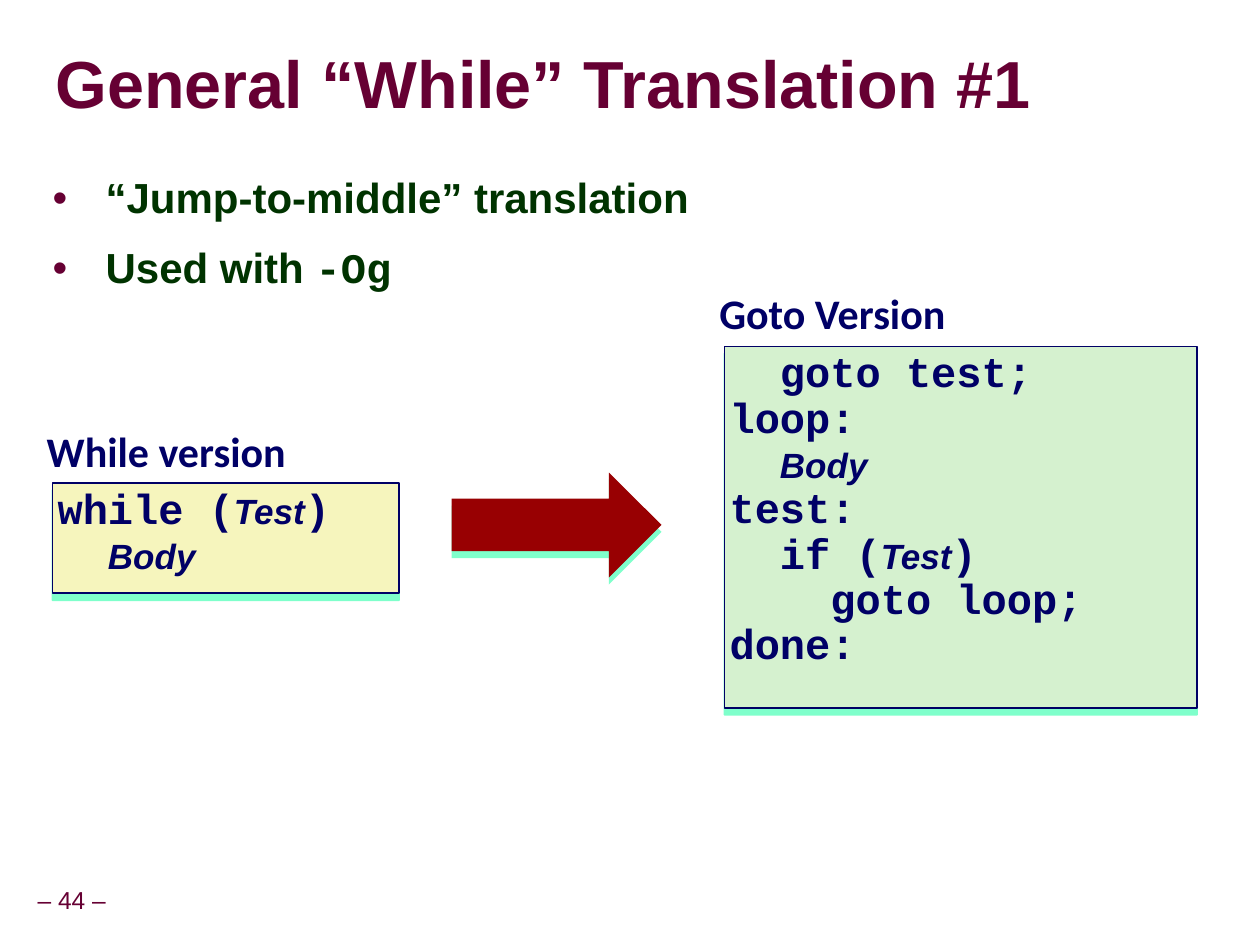
import pptx
import pptx.util
import pptx.dml.color
import pptx.enum.shapes
import pptx.enum.text
import pptx.oxml
import pptx.oxml.ns
from lxml import etree

Pt = pptx.util.Pt
qn = pptx.oxml.ns.qn
ANCHOR = pptx.enum.text.MSO_ANCHOR
SHAPE = pptx.enum.shapes.MSO_SHAPE
NAVY, MAROON, GREEN = "000066", "660033", "003300"


def paint(value):
    return pptx.dml.color.RGBColor.from_string(value)


def write(para, text, size=24, font="Arial", color=NAVY, bold=True, italic=False):
    span = para.add_run()
    span.text = text
    span.font.size = Pt(size)
    span.font.name = font
    span.font.bold = bold
    span.font.italic = italic
    span.font.color.rgb = paint(color)
    return span


deck = pptx.Presentation()
deck.slide_width, deck.slide_height = Pt(720), Pt(540)
page = deck.slides.add_slide(deck.slide_layouts[6])

labels = [
    ("– 44 –", (17.3, 504, 47.5, 22.3), 3.6, 0.9, 0, dict(size=14, color=MAROON, bold=False)),
    ("General “While” Translation #1", (31.7, 19.4, 686, 61.2), 0, 0.87, 0, dict(size=38, color=MAROON)),
    ("While version", (23.8, 243.4, 206, 35.3), 2.9, 0.9, 8.6, dict(font="Calibri")),
    ("Goto Version", (408.2, 164.9, 229, 35.3), 2.9, 0.9, 8.6, dict(font="Calibri")),
]
for text, area, inset, spacing, before, style in labels:
    box = page.shapes.add_textbox(*map(Pt, area))
    frame = box.text_frame
    frame.word_wrap = True
    frame.margin_left = frame.margin_right = Pt(inset)
    frame.margin_top = frame.margin_bottom = Pt(inset)
    para = frame.paragraphs[0]
    para.line_spacing = spacing
    para.space_before = Pt(before)
    span = write(para, text, **style)
    if before == 0:
        frame.vertical_anchor = ANCHOR.MIDDLE
    if text.startswith("–"):
        frame.word_wrap = False
        para.alignment = pptx.enum.text.PP_ALIGN.CENTER
    if text.startswith("General"):
        effects = pptx.oxml.parse_xml(
            f'<a:effectLst {pptx.oxml.ns.nsdecls("a")}>'
            '<a:outerShdw blurRad="50800" dist="50800" dir="2700000">'
            '<a:srgbClr val="000000"><a:alpha val="40000"/></a:srgbClr>'
            '</a:outerShdw></a:effectLst>')
        span.font._element.find(qn("a:latin")).addprevious(effects)

body = page.shapes.add_textbox(Pt(23), Pt(96.5), Pt(654.5), Pt(108))
body.text_frame.word_wrap = True
bullets = [
    [("“Jump-to-middle” translation", "Arial")],
    [("Used with ", "Arial"), ("-Og", "Courier New")],
]
for number, bullet in enumerate(bullets):
    para = body.text_frame.add_paragraph() if number else body.text_frame.paragraphs[0]
    para.line_spacing = 0.95
    para.space_before = Pt(13)
    for text, font in bullet:
        write(para, text, font=font, color=GREEN)
    props = para._p.get_or_add_pPr()
    props.set("marL", str(Pt(30.25)))
    props.set("indent", str(-Pt(30.25)))
    etree.SubElement(etree.SubElement(props, qn("a:buClr")), qn("a:srgbClr"), val=MAROON)
    etree.SubElement(props, qn("a:buFont"), typeface="Arial")
    etree.SubElement(props, qn("a:buChar"), char="•")

while_code = [["while (", "Test", ")"], ["  ", "Body"]]
goto_code = [
    ["  goto test;"],
    ["loop:"],
    ["  ", "Body"],
    ["test:"],
    ["  if (", "Test", ")"],
    ["    goto loop;"],
    ["done:"],
]
blocks = [
    (SHAPE.RECTANGLE, (30, 276, 198, 63), "F6F5BD", while_code),
    (SHAPE.RECTANGLE, (414, 198, 270, 206.5), "D5F1CF", goto_code),
    (SHAPE.RIGHT_ARROW, (258, 270, 120, 60), "980002", []),
]
for kind, area, fill, code in blocks:
    block = page.shapes.add_shape(kind, *map(Pt, area))
    block.fill.solid()
    block.fill.fore_color.rgb = paint(fill)
    if code:
        block.line.color.rgb = paint(NAVY)
        block.line.width = Pt(1)
    else:
        block.line.fill.background()
    block.shadow.inherit = False
    effects = block._element.spPr.find(qn("a:effectLst"))
    shadow = etree.SubElement(effects, qn("a:outerShdw"), dist=str(Pt(4)), dir="5400000")
    tint = etree.SubElement(shadow, qn("a:srgbClr"), val="00FF99")
    etree.SubElement(tint, qn("a:alpha"), val="50000")
    frame = block.text_frame
    frame.vertical_anchor = ANCHOR.TOP
    frame.margin_left = frame.margin_right = Pt(2.9)
    frame.margin_top = frame.margin_bottom = Pt(2.9)
    for number, line in enumerate(code):
        para = frame.add_paragraph() if number else frame.paragraphs[0]
        para.alignment = pptx.enum.text.PP_ALIGN.LEFT
        para.line_spacing = 0.9
        for text in line:
            if text in ("Test", "Body"):
                write(para, text, size=20, italic=True)
            else:
                write(para, text, font="Courier New")

deck.save("out.pptx")
